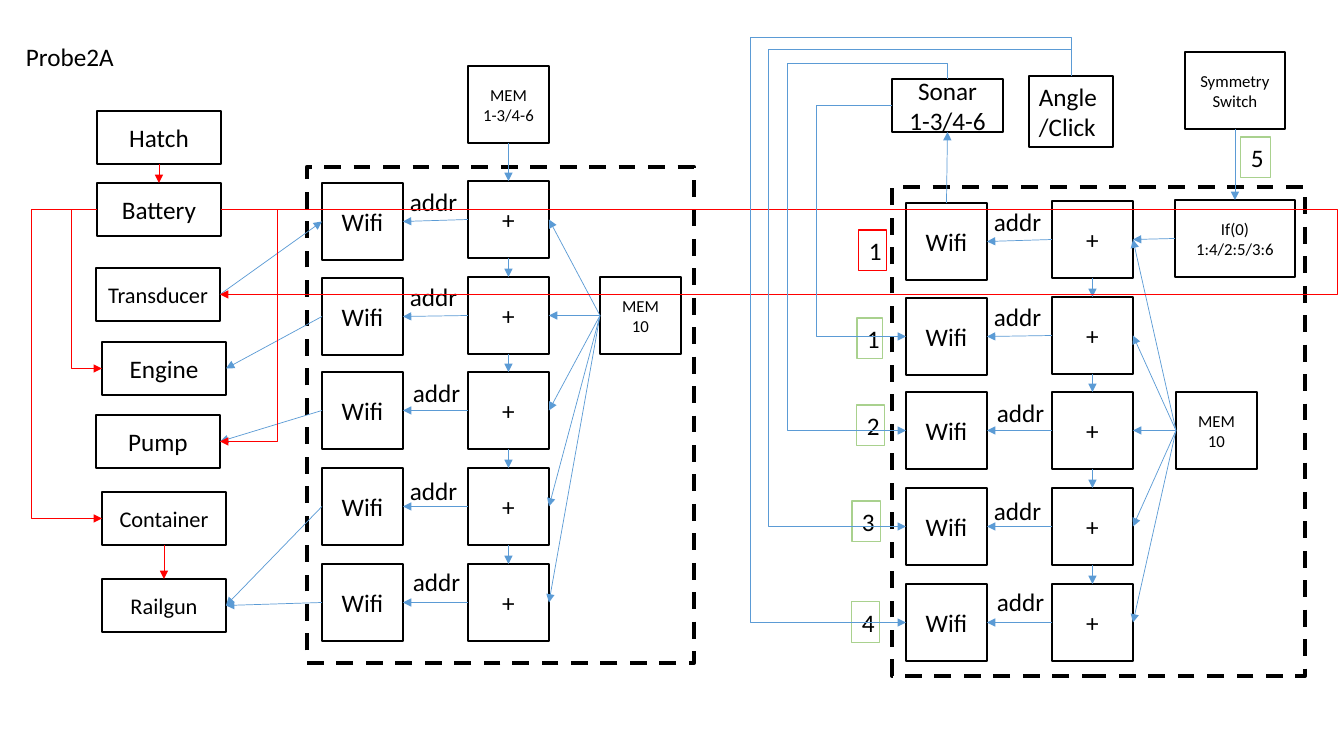
"""Draw the Probe2A wiring diagram: devices, two addressed Wifi banks and their links."""
from dataclasses import dataclass
from typing import NamedTuple

from lxml import etree
from pptx import Presentation
from pptx.dml.color import RGBColor
from pptx.enum.dml import MSO_LINE
from pptx.enum.shapes import MSO_CONNECTOR, MSO_SHAPE
from pptx.enum.text import MSO_ANCHOR, MSO_AUTO_SIZE, PP_ALIGN
from pptx.oxml.ns import qn
from pptx.util import Emu, Pt

RECT = MSO_SHAPE.RECTANGLE
STRAIGHT, ELBOW = MSO_CONNECTOR.STRAIGHT, MSO_CONNECTOR.ELBOW
DASH = MSO_LINE.DASH
CENTER, LEFT_ALIGN = PP_ALIGN.CENTER, PP_ALIGN.LEFT
MIDDLE, TOP_ANCHOR = MSO_ANCHOR.MIDDLE, MSO_ANCHOR.TOP
FIT_SHAPE = MSO_AUTO_SIZE.SHAPE_TO_FIT_TEXT
TOP, LEFT, BOTTOM, RIGHT = range(4)
EMU_PER_PX = 914400 / 100.8


@dataclass(frozen=True)
class Theme:
    black: RGBColor = RGBColor(0, 0, 0)
    white: RGBColor = RGBColor(255, 255, 255)
    red: RGBColor = RGBColor(255, 0, 0)
    blue: RGBColor = RGBColor(0x5B, 0x9B, 0xD5)
    green: RGBColor = RGBColor(0xA9, 0xD1, 0x8E)
    font: str = "Calibri"
    body: int = 18
    medium: int = 16
    small: int = 12
    link: float = 0.5
    label: float = 0.75
    box: float = 1
    frame: float = 3


THEME = Theme()


class Box(NamedTuple):
    text: str
    x: int
    y: int
    w: int = 124
    h: int = 53
    size: int = THEME.body


class Label(NamedTuple):
    text: str
    x: int
    y: int
    w: int
    color: RGBColor | None = None


class BankRow(NamedTuple):
    wifi_y: int
    plus_y: int
    addr_x: int
    addr_y: int


class Bank(NamedTuple):
    dx: int
    dy: int
    mem: Box
    frame: Box


DEVICES = [
    Box("Hatch", 97, 111),
    Box("Battery", 97, 183),
    Box("Transducer", 96, 268, size=THEME.medium),
    Box("Engine", 102, 342),
    Box("Pump", 96, 415),
    Box("Container", 102, 492, size=THEME.medium),
    Box("Railgun", 102, 579, size=THEME.medium),
    Box("Sonar\n1-3/4-6", 892, 79, 111),
    Box("MEM\n1-3/4-6", 468, 66, 81, 77, THEME.small),
    Box("Symmetry\nSwitch", 1185, 52, 100, 77, THEME.small),
    Box("If(0)\n1:4/2:5/3:6", 1175, 200, 120, 77, THEME.small),
]
BANK_ROWS = [
    BankRow(183, 181, 400, 181),
    BankRow(278, 277, 400, 276),
    BankRow(372, 372, 403, 372),
    BankRow(468, 468, 400, 470),
    BankRow(564, 564, 403, 561),
]
BANKS = [
    Bank(0, 0, Box("MEM\n10", 600, 277, 81, 77, THEME.small), Box("", 307, 167, 387, 496)),
    Bank(584, 20, Box("MEM\n10", 1176, 392, 81, 77, THEME.small), Box("", 892, 187, 413, 489)),
]
LABELS = [
    Label("Probe2A", 16, 36, 109),
    Label("1", 857, 318, 26, THEME.green),
    Label("2", 857, 405, 28, THEME.green),
    Label("3", 852, 501, 29, THEME.green),
    Label("4", 852, 602, 28, THEME.green),
    Label("5", 1241, 137, 30, THEME.green),
    Label("1", 859, 230, 28, THEME.red),
]


def px(value: int) -> Emu:
    """Turn px into EMU."""
    return Emu(round(value * EMU_PER_PX))


def write(shape, text: str, size: int, align: PP_ALIGN, anchor: MSO_ANCHOR) -> None:
    """Fill a shape with styled paragraphs."""
    tf = shape.text_frame
    tf.word_wrap = True
    tf.vertical_anchor = anchor
    tf.text = text
    for p in tf.paragraphs:
        p.alignment = align
        for r in p.runs:
            r.font.name, r.font.size, r.font.color.rgb = THEME.font, Pt(size), THEME.black


def add_box(s, box: Box, width: float = THEME.box):
    """Draw an unfilled black-edged box."""
    sp = s.shapes.add_shape(RECT, px(box.x), px(box.y), px(box.w), px(box.h))
    sp.shadow.inherit = False
    sp.fill.background()
    sp.line.color.rgb, sp.line.width = THEME.black, Pt(width)
    if box.text:
        write(sp, box.text, box.size, CENTER, MIDDLE)
    return sp


def add_label(s, label: Label, h: int = 41, width: float = THEME.label):
    """Draw a text box, edged when the label has a colour."""
    sp = s.shapes.add_textbox(px(label.x), px(label.y), px(label.w), px(h))
    write(sp, label.text, THEME.body, LEFT_ALIGN, TOP_ANCHOR)
    sp.text_frame.auto_size = FIT_SHAPE
    if label.color is not None:
        sp.line.color.rgb, sp.line.width = label.color, Pt(width)
    return sp


def link(s, start, start_side: int, end, end_side: int, color: RGBColor = THEME.blue, kind=STRAIGHT):
    """Join two shapes with an arrow."""
    c = s.shapes.add_connector(kind, 0, 0, 0, 0)
    c.begin_connect(start, start_side)
    c.end_connect(end, end_side)
    c.line.color.rgb, c.line.width = color, Pt(THEME.link)
    etree.SubElement(c.line._get_or_add_ln(), qn("a:tailEnd"), type="triangle")
    etree.SubElement(c._element.spPr, qn("a:effectLst"))
    return c


def set_bends(c, *bends: float) -> None:
    """Set the bend positions as fractions of the connector's span."""
    geom = c._element.spPr.find(qn("a:prstGeom"))
    guides = geom.find(qn("a:avLst"))
    if guides is None:
        guides = etree.SubElement(geom, qn("a:avLst"))
    for i, bend in enumerate(bends, 1):
        etree.SubElement(guides, qn("a:gd"), name=f"adj{i}", fmla=f"val {round(bend * 100000)}")


def link_around(s, start, side: int, end, end_side: int, via_x: int, color: RGBColor) -> None:
    """Join two shapes sideways through a vertical run at via_x."""
    c = link(s, start, side, end, end_side, color, ELBOW)
    set_bends(c, (px(via_x) - c.begin_x) / (c.end_x - c.begin_x))


def link_over(s, start, end, via_x: int, via_y: int) -> None:
    """Join a top side to a left side, up to via_y and down along via_x."""
    c = link(s, start, TOP, end, LEFT, kind=ELBOW)
    x, y, dx, dy = c.begin_x, c.begin_y, c.end_x - c.begin_x, c.end_y - c.begin_y
    set_bends(c, (px(via_y) - y) / dy, (px(via_x) - x) / dx)
    c._element.spPr.find(qn("a:prstGeom")).set("prst", "bentConnector4")
    c.left, c.top = Emu(x + (dx - dy) // 2), Emu(y + (dy + dx) // 2)
    c.width, c.height = Emu(dy), Emu(-dx)
    xfrm = c._element.spPr.find(qn("a:xfrm"))
    for key, value in (("rot", "16200000"), ("flipH", "1"), ("flipV", "1")):
        xfrm.set(key, value)


def add_bank(s, bank: Bank) -> tuple[list, list]:
    """Draw one framed bank and return its Wifi and plus boxes."""
    dx, dy = bank.dx, bank.dy
    wifis = [add_box(s, Box("Wifi", 322 + dx, row.wifi_y + dy, 81, 77)) for row in BANK_ROWS]
    pluses = [add_box(s, Box("+", 468 + dx, row.plus_y + dy, 81, 77)) for row in BANK_ROWS]
    mem = add_box(s, bank.mem)
    for row, wifi, plus in zip(BANK_ROWS, wifis, pluses):
        link(s, plus, LEFT, wifi, RIGHT)
        link(s, mem, LEFT, plus, RIGHT)
        add_label(s, Label("addr", row.addr_x + dx, row.addr_y + dy, 78))
    for upper, lower in zip(pluses, pluses[1:]):
        link(s, upper, BOTTOM, lower, TOP)
    add_box(s, bank.frame, THEME.frame).line.dash_style = DASH
    return wifis, pluses


def main() -> None:
    """Build and save the slide."""
    prs = Presentation()
    prs.slide_width, prs.slide_height = px(1344), px(756)
    s = prs.slides.add_slide(prs.slide_layouts[6])
    (hatch, battery, transducer, engine, pump, container, railgun,
     sonar, mem, switch, branch) = [add_box(s, box) for box in DEVICES]
    (wifis, pluses), (sonar_wifis, sonar_pluses) = [add_bank(s, bank) for bank in BANKS]
    angle = add_label(s, Label("Angle/Click", 1029, 76, 84, THEME.black), 71, THEME.box)
    angle.fill.solid()
    angle.fill.fore_color.rgb = THEME.white
    for label in LABELS:
        add_label(s, label)

    link(s, hatch, BOTTOM, battery, TOP, THEME.red)
    link(s, container, BOTTOM, railgun, TOP, THEME.red)
    link(s, transducer, RIGHT, wifis[0], LEFT)
    for wifi, device in zip(wifis[1:], (engine, pump, railgun, railgun)):
        link(s, wifi, LEFT, device, RIGHT)
    link(s, mem, BOTTOM, pluses[0], TOP)
    link(s, switch, BOTTOM, branch, TOP)
    link(s, branch, LEFT, sonar_pluses[0], RIGHT)
    link(s, sonar_wifis[0], TOP, sonar, BOTTOM)

    for device, side, via_x in ((engine, LEFT, 71), (container, LEFT, 31),
                                (transducer, RIGHT, 1346), (pump, RIGHT, 278)):
        link_around(s, battery, side, device, side, via_x, THEME.red)
    link_around(s, sonar, LEFT, sonar_wifis[1], LEFT, 816, THEME.blue)
    link_over(s, sonar, sonar_wifis[2], 787, 63)
    link_over(s, angle, sonar_wifis[3], 768, 50)
    link_over(s, angle, sonar_wifis[4], 750, 37)
    prs.save("out.pptx")


if __name__ == "__main__":
    main()
